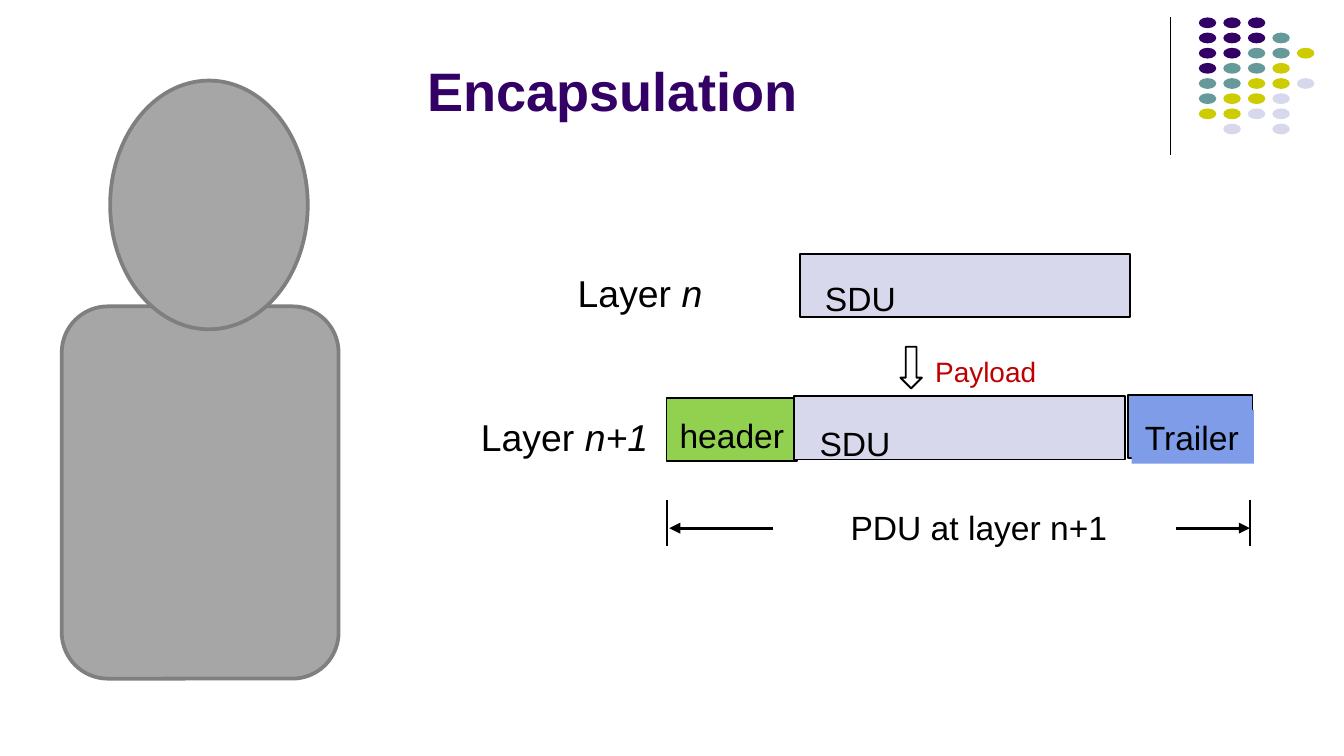
from dataclasses import dataclass
from typing import Optional

from lxml import etree
from pptx import Presentation
from pptx.dml.color import RGBColor
from pptx.enum.shapes import MSO_CONNECTOR, MSO_SHAPE
from pptx.enum.text import MSO_ANCHOR, PP_ALIGN
from pptx.oxml.ns import qn
from pptx.util import Inches, Pt

LEFT, CENTER = PP_ALIGN.LEFT, PP_ALIGN.CENTER
BOTTOM = MSO_ANCHOR.BOTTOM
STRAIGHT = MSO_CONNECTOR.STRAIGHT
OVAL, RECT = MSO_SHAPE.OVAL, MSO_SHAPE.RECTANGLE
ROUNDED, DOWN_ARROW = MSO_SHAPE.ROUNDED_RECTANGLE, MSO_SHAPE.DOWN_ARROW

SLIDE_WIDTH = 10
SLIDE_HEIGHT = SLIDE_WIDTH * 9 / 16
FONT = "Arial"
BLACK, WHITE, RED = "000000", "FFFFFF", "C00000"
PURPLE, TEAL, OLIVE, LAVENDER = "330066", "669999", "CCCC00", "D8D8EC"
GREEN, BLUE, GRAY, DARK_GRAY = "92D050", "7E9CE8", "A6A6A6", "7F7F7F"

DOT_COLORS = {"P": PURPLE, "T": TEAL, "O": OLIVE, "L": LAVENDER}
DOT_ROWS = ["PPP", "PPPT", "PPTTO", "PTTO", "TTOOL", "TOOL", "OOLL", " L L"]
DOT_COLUMN_STEP = (9.65 - 8.92) / 4
DOT_ROW_STEP = (0.92 - 0.13) / 7


@dataclass
class Block:
    kind: int
    left: float
    top: float
    width: float
    height: float
    fill: str
    line: Optional[str] = BLACK
    line_width: float = 1


@dataclass
class Label:
    left: float
    top: float
    width: float
    height: float
    text: str
    italic_text: str = ""
    size: float = 18
    color: str = BLACK
    align: int = LEFT
    wrap: bool = False
    fill: Optional[str] = None


@dataclass
class Line:
    x1: float
    y1: float
    x2: float
    y2: float
    width: float = 1
    arrow: bool = False


FIGURE = [
    Block(ROUNDED, 0.46, 2.28, 2.06, 2.77, GRAY, DARK_GRAY, 2),
    Block(OVAL, 0.82, 0.6, 1.47, 1.85, GRAY, DARK_GRAY, 2),
]
# Back to front: the trailer label partly covers its block.
DIAGRAM = [
    Block(DOWN_ARROW, 6.7, 2.58, 0.16, 0.31, WHITE),
    Block(RECT, 5.95, 1.89, 2.46, 0.47, LAVENDER),
    Label(6.04, 2.02, 2.2, 0.4, "SDU", wrap=True),
    Block(RECT, 8.39, 2.94, 0.93, 0.47, BLUE),
    Label(8.42, 3.05, 0.91, 0.4, "Trailer", fill=BLUE),
    Label(6.86, 2.59, 1.56, 0.35, "Payload", size=15, color=RED, wrap=True),
    Block(RECT, 4.96, 2.96, 0.97, 0.47, GREEN),
    Label(4.94, 3.04, 1.01, 0.4, "header", align=CENTER),
    Block(RECT, 5.91, 2.95, 2.46, 0.47, LAVENDER),
    Label(6, 3.1, 2.2, 0.4, "SDU", wrap=True),
    Line(4.96, 3.72, 4.96, 4.06),
    Line(9.3, 3.72, 9.3, 4.06),
    Line(8.75, 3.93, 9.3, 3.93, 1.5, True),
    Line(5.75, 3.93, 4.98, 3.93, 1.5, True),
    Label(6.23, 3.72, 2.11, 0.4, "PDU at layer n+1"),
    Label(4.2, 1.96, 1.15, 0.44, "Layer ", "n", 20),
    Label(3.48, 3.03, 1.47, 0.44, "Layer ", "n+1", 20),
]


def rgb(color: str) -> RGBColor:
    return RGBColor.from_string(color)


def add_run(paragraph, text: str, size: float, color: str,
            bold: bool = False, italic: bool = False) -> None:
    run = paragraph.add_run()
    run.text = text
    run.font.name = FONT
    run.font.size = Pt(size)
    run.font.bold = bold
    run.font.italic = italic
    run.font.color.rgb = rgb(color)


def draw_block(slide, block: Block) -> None:
    shape = slide.shapes.add_shape(
        block.kind, Inches(block.left), Inches(block.top),
        Inches(block.width), Inches(block.height))
    shape.shadow.inherit = False
    shape.fill.solid()
    shape.fill.fore_color.rgb = rgb(block.fill)
    if block.line:
        shape.line.color.rgb = rgb(block.line)
        shape.line.width = Pt(block.line_width)
    else:
        shape.line.fill.background()


def draw_label(slide, label: Label) -> None:
    box = slide.shapes.add_textbox(
        Inches(label.left), Inches(label.top),
        Inches(label.width), Inches(label.height))
    if label.fill:
        box.fill.solid()
        box.fill.fore_color.rgb = rgb(label.fill)
    box.text_frame.word_wrap = label.wrap
    paragraph = box.text_frame.paragraphs[0]
    paragraph.alignment = label.align
    add_run(paragraph, label.text, label.size, label.color)
    if label.italic_text:
        add_run(paragraph, label.italic_text, label.size, label.color, italic=True)


def draw_line(slide, line: Line) -> None:
    connector = slide.shapes.add_connector(
        STRAIGHT, Inches(line.x1), Inches(line.y1), Inches(line.x2), Inches(line.y2))
    connector.line.color.rgb = rgb(BLACK)
    connector.line.width = Pt(line.width)
    properties = connector._element.spPr
    if line.arrow:
        etree.SubElement(properties.find(qn("a:ln")), qn("a:tailEnd"), type="triangle")
    etree.SubElement(properties, qn("a:effectLst"))


def draw_dots(slide) -> None:
    """Draw the corner ornament, one letter of DOT_ROWS per dot."""
    for row, letters in enumerate(DOT_ROWS):
        for column, letter in enumerate(letters):
            if letter in DOT_COLORS:
                draw_block(slide, Block(
                    OVAL, 8.92 + DOT_COLUMN_STEP * column, 0.13 + DOT_ROW_STEP * row,
                    0.13, 0.08, DOT_COLORS[letter], None))


def write_title(slide) -> None:
    title = slide.shapes.title
    title.left, title.top = Inches(3.08), Inches(0.12)
    title.width, title.height = Inches(5.66), Inches(0.84)
    title.text_frame.vertical_anchor = BOTTOM
    paragraph = title.text_frame.paragraphs[0]
    paragraph.alignment = LEFT
    add_run(paragraph, "Encapsulation", 29, PURPLE, bold=True)


def main() -> None:
    deck = Presentation()
    deck.slide_width, deck.slide_height = Inches(SLIDE_WIDTH), Inches(SLIDE_HEIGHT)
    slide = deck.slides.add_slide(deck.slide_layouts.get_by_name("Title Only"))

    draw_line(slide, Line(8.71, 0.13, 8.71, 1.15, 0.75))
    draw_dots(slide)
    write_title(slide)
    draw_part = {Block: draw_block, Label: draw_label, Line: draw_line}
    for part in FIGURE + DIAGRAM:
        draw_part[type(part)](slide, part)

    deck.save("out.pptx")


if __name__ == "__main__":
    main()
